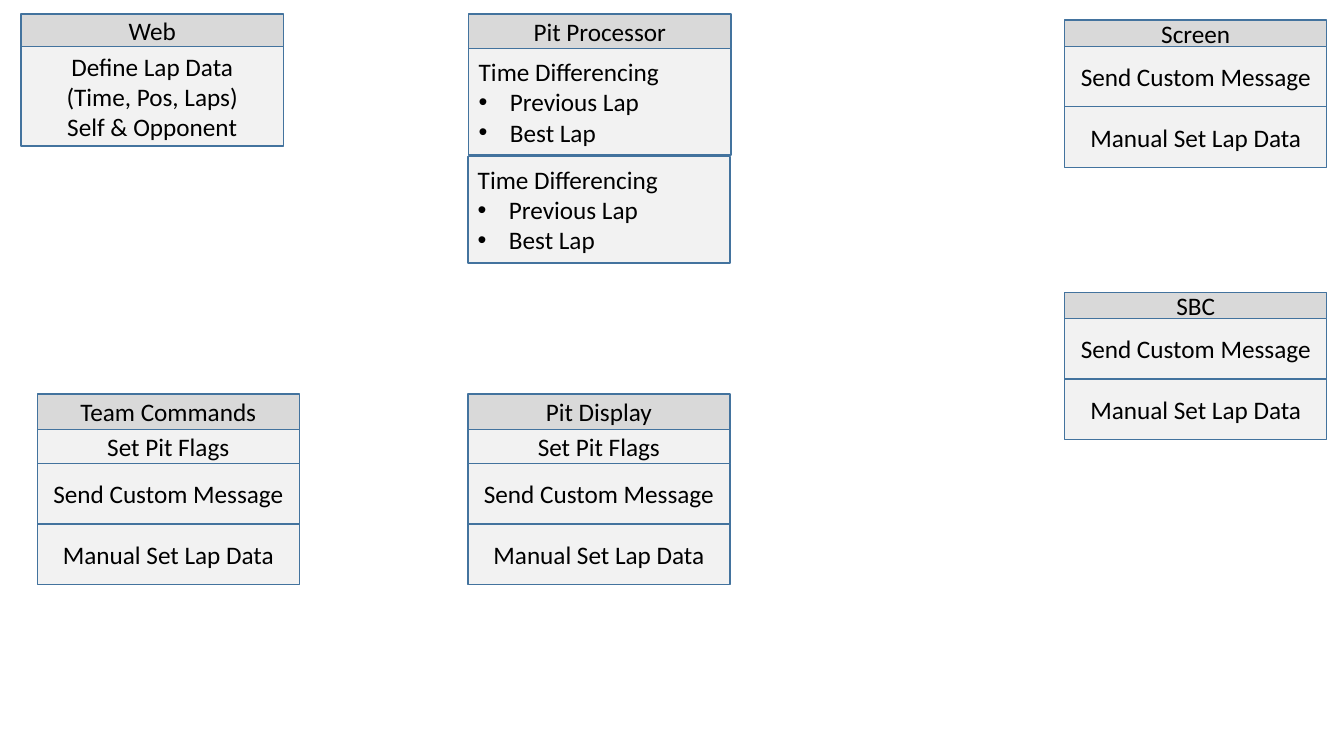
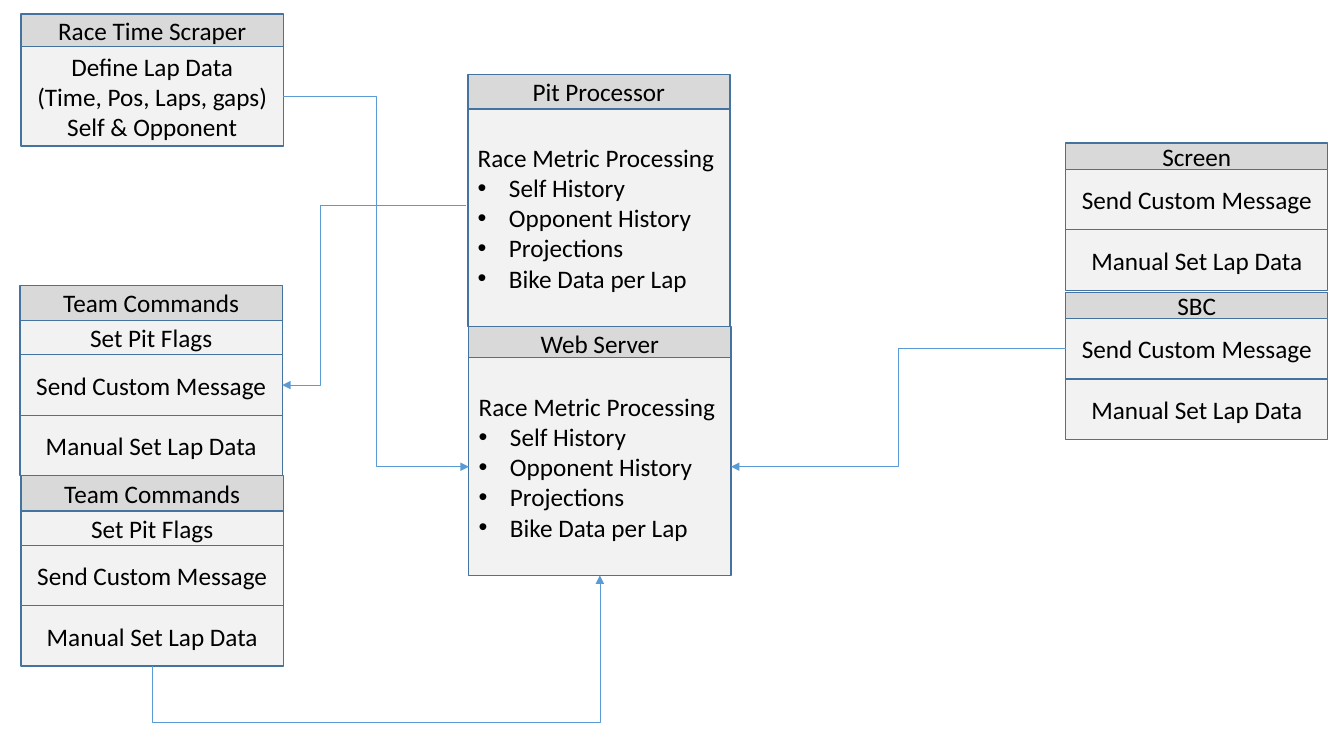
from dataclasses import dataclass

from lxml import etree
from pptx import Presentation
from pptx.dml.color import RGBColor
from pptx.enum.shapes import MSO_CONNECTOR, MSO_SHAPE
from pptx.enum.text import MSO_ANCHOR, PP_ALIGN
from pptx.oxml.ns import qn
from pptx.util import Inches, Pt

RECT = MSO_SHAPE.RECTANGLE
ELBOW = MSO_CONNECTOR.ELBOW
MIDDLE = MSO_ANCHOR.MIDDLE
LEFT, CENTER = PP_ALIGN.LEFT, PP_ALIGN.CENTER
LEFT_SIDE, LOW_SIDE, RIGHT_SIDE = 1, 2, 3


@dataclass(frozen=True)
class Theme:
    font: str = "Calibri"
    size: int = 18
    ink: str = "000000"
    head: str = "D9D9D9"
    body: str = "F2F2F2"
    edge: str = "43739E"
    link: str = "5B9BD5"
    edge_width: float = 1
    link_width: float = 0.5
    width: float = 2.6
    indent: float = 0.31


def style(target, values):
    for name, value in values.items():
        setattr(target, name, value)


def add_tag(parent, tag, **values):
    return etree.SubElement(parent, qn(tag), values)


class Deck:
    """Draws stacked boxes and bent links in one shared style."""

    def __init__(self, theme):
        self.theme = theme
        self.show = Presentation()
        style(self.show, {"slide_width": Inches(13.33), "slide_height": Inches(7.5)})
        self.slide = None

    def page(self):
        self.slide = self.show.slides.add_slide(self.show.slide_layouts[6])

    def line(self, line, color, width):
        line.color.rgb = RGBColor.from_string(color)
        line.width = Pt(width)

    def box(self, left, top, height, text, points=(), fill=None):
        look = self.theme
        box = self.slide.shapes.add_shape(
            RECT, Inches(left), Inches(top), Inches(look.width), Inches(height))
        box.shadow.inherit = False
        box.fill.solid()
        box.fill.fore_color.rgb = RGBColor.from_string(fill or look.body)
        self.line(box.line, look.edge, look.edge_width)
        frame = box.text_frame
        style(frame, {"word_wrap": True, "vertical_anchor": MIDDLE})
        lines = text.split("\n")
        for place, words in enumerate([*lines, *points]):
            para = frame.add_paragraph() if place else frame.paragraphs[0]
            para.alignment = LEFT if points else CENTER
            run = para.add_run()
            run.text = words
            style(run.font, {"name": look.font, "size": Pt(look.size)})
            run.font.color.rgb = RGBColor.from_string(look.ink)
            if place >= len(lines):
                self.bullet(para)
        return box

    def bullet(self, para):
        props = para._p.get_or_add_pPr()
        step = Inches(self.theme.indent)
        for name, value in {"marL": step, "indent": -step}.items():
            props.set(name, str(value))
        add_tag(props, "a:buFont", typeface="Arial")
        add_tag(props, "a:buChar", char="•")

    def stack(self, left, top, head, height, *rows):
        boxes = [self.box(left, top, height, head, fill=self.theme.head)]
        top += height
        for high, *words in rows:
            boxes.append(self.box(left, top, high, *words))
            top += high
        return boxes

    def link(self, start, end, bend=0.5, start_side=None, end_side=None, upright=False):
        first = start if start_side is None else (0, 0)
        link = self.slide.shapes.add_connector(ELBOW, *map(Inches, first), 0, 0)
        if start_side is not None:
            link.begin_connect(start, start_side)
        link.end_connect(end, end_side)
        if upright:
            self.turn(link)
        self.line(link.line, self.theme.link, self.theme.link_width)
        props = link._element.spPr
        add_tag(props.find(qn("a:ln")), "a:tailEnd", type="triangle")
        add_tag(props, "a:effectLst")
        guides = props.find(qn("a:prstGeom")).find(qn("a:avLst"))
        add_tag(guides, "a:gd", name="adj1", fmla=f"val {round(bend * 100000)}")

    def turn(self, link):
        wide, high = link.width, link.height
        mid_x, mid_y = link.left + wide // 2, link.top + high // 2
        style(link, {"left": mid_x - high // 2, "top": mid_y - wide // 2,
                     "width": high, "height": wide})
        frame = link._element.spPr.find(qn("a:xfrm"))
        for name, value in {"rot": "5400000", "flipH": "1", "flipV": "1"}.items():
            frame.set(name, value)


SEND = (0.6, "Send Custom Message")
MANUAL = (0.6, "Manual Set Lap Data")
FLAGS = (0.34, "Set Pit Flags")
ORDERS = (FLAGS, SEND, MANUAL)
TIMES = (1.06, "Time Differencing", ("Previous Lap", "Best Lap"))
RACE = (2.16, "Race Metric Processing",
        ("Self History", "Opponent History", "Projections", "Bike Data per Lap"))
SCREEN, BOARD = "Screen", "SBC"


def lap_data(fields):
    return 0.99, f"Define Lap Data\n({fields})\nSelf & Opponent"


def draw_plan(deck):
    deck.page()
    deck.stack(0.21, 0.14, "Web", 0.32, lap_data("Time, Pos, Laps"))
    deck.stack(4.65, 0.14, "Pit Processor", 0.34, TIMES)
    deck.box(4.64, 1.55, *TIMES)
    for left, name in ((0.37, "Team Commands"), (4.64, "Pit Display")):
        deck.stack(left, 3.91, name, 0.35, *ORDERS)
    for top, name in ((0.2, SCREEN), (2.9, BOARD)):
        deck.stack(10.56, top, name, 0.26, SEND, MANUAL)


def draw_flow(deck):
    deck.page()
    laps = deck.stack(0.21, 0.14, "Race Time Scraper", 0.32,
                      lap_data("Time, Pos, Laps, gaps"))[-1]
    team, crew = [deck.stack(left, top, "Team Commands", 0.35, *ORDERS)
                  for left, top in ((0.2, 2.83), (0.21, 4.72))]
    deck.stack(4.64, 0.74, "Pit Processor", 0.34, RACE)
    deck.stack(4.65, 3.24, "Web Server", 0.34)
    server = deck.box(4.65, 3.55, *RACE)
    deck.stack(10.57, 1.42, SCREEN, 0.26, SEND, MANUAL)
    board = deck.stack(10.57, 2.9, BOARD, 0.26, SEND, MANUAL)
    deck.link(laps, server, start_side=RIGHT_SIDE, end_side=LEFT_SIDE)
    deck.link(crew[-1], server, -0.62, LOW_SIDE, LOW_SIDE, upright=True)
    deck.link(board[1], server, start_side=LEFT_SIDE, end_side=RIGHT_SIDE)
    deck.link((4.62, 2.04), team[2], 0.79, end_side=RIGHT_SIDE)


def main():
    deck = Deck(Theme())
    draw_plan(deck)
    draw_flow(deck)
    deck.show.save("out.pptx")


if __name__ == "__main__":
    main()
